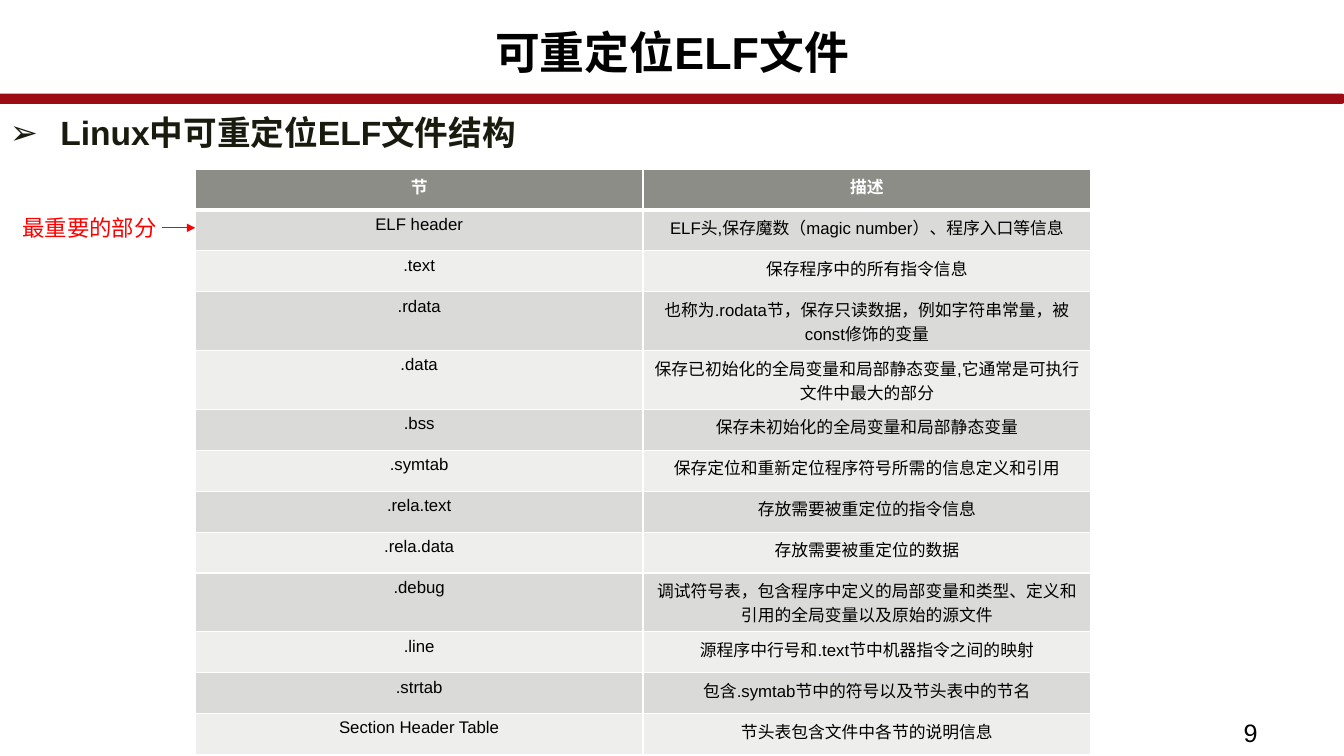
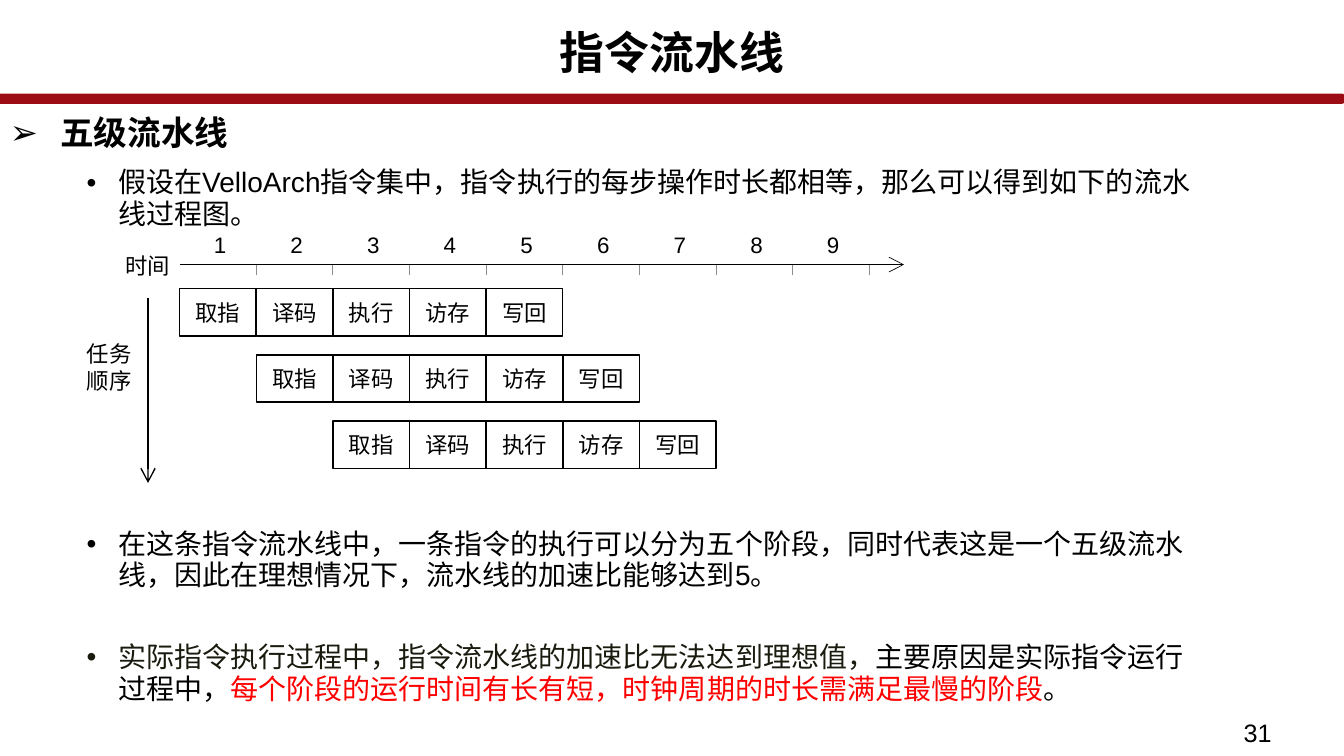
import pptx
import pptx.dml.color
import pptx.enum.shapes
import pptx.enum.text
import pptx.oxml.ns
import pptx.util
from lxml import etree

PX = 9525
WIDTH, HEIGHT = 1280, 720
FONT = "Arial"
BLACK, INK, WHITE, RED = "000000", "191B0E", "FFFFFF", "FF0000"
BAND, GRAY, ROW_DARK, ROW_LIGHT = "9C0C15", "8C8D86", "DADBD9", "EEEEED"
CENTER = pptx.enum.text.PP_ALIGN.CENTER
TOP = pptx.enum.text.MSO_ANCHOR.TOP
MIDDLE = pptx.enum.text.MSO_ANCHOR.MIDDLE
SHAPE = pptx.enum.shapes.MSO_SHAPE

LINE_CHARS = 32
SECTIONS = [
    ("节", "描述"),
    ("ELF header", "ELF头,保存魔数（magic number）、程序入口等信息"),
    (".text", "保存程序中的所有指令信息"),
    (".rdata", "也称为.rodata节，保存只读数据，例如字符串常量，被const修饰的变量"),
    (".data", "保存已初始化的全局变量和局部静态变量,它通常是可执行文件中最大的部分"),
    (".bss", "保存未初始化的全局变量和局部静态变量"),
    (".symtab", "保存定位和重新定位程序符号所需的信息定义和引用"),
    (".rela.text", "存放需要被重定位的指令信息"),
    (".rela.data", "存放需要被重定位的数据"),
    (".debug", "调试符号表，包含程序中定义的局部变量和类型、定义和引用的全局变量以及原始的源文件"),
    (".line", "源程序中行号和.text节中机器指令之间的映射"),
    (".strtab", "包含.symtab节中的符号以及节头表中的节名"),
    ("Section Header Table", "节头表包含文件中各节的说明信息"),
]
STAGES = ["取指", "译码", "执行", "访存", "写回"]
PREMISE = "假设在VelloArch指令集中，指令执行的每步操作时长都相等，那么可以得到如下的流水线过程图。"
SPEEDUP = "在这条指令流水线中，一条指令的执行可以分为五个阶段，同时代表这是一个五级流水线，因此在理想情况下，流水线的加速比能够达到5。"
REALITY = [
    ("实际指令执行过程中，指令流水线的加速比无法达到理想值，", INK, "Times New Roman"),
    ("主要原因是实际指令运行过程中，", BLACK, FONT),
    ("每个阶段的运行时间有长有短，时钟周期的时长需满足最慢的阶段", RED, FONT),
    ("。", BLACK, FONT),
]


def px(n):
    """Turn px into EMU."""
    return pptx.util.Emu(n * PX)


def rgb(color):
    """Turn a hex string into a colour."""
    return pptx.dml.color.RGBColor.from_string(color)


def add_xml(parent, tag, **attrs):
    """Append a DrawingML element to a parent."""
    return etree.SubElement(parent, pptx.oxml.ns.qn(tag), **attrs)


def style_run(r, size, color=BLACK, bold=False, font=FONT, east=True):
    """Set the font of a run, and the shared East Asian font if asked."""
    r.font.size = pptx.util.Pt(size)
    r.font.name = font
    r.font.bold = bold
    r.font.color.rgb = rgb(color)
    if east:
        add_xml(r.font._element, "a:ea", typeface=FONT)


def add_text(s, text, x, y, w, h, size, color=BLACK, bold=False, align=None, anchor=TOP):
    """Add a wrapped one-paragraph text box."""
    sp = s.shapes.add_textbox(px(x), px(y), px(w), px(h))
    tf = sp.text_frame
    tf.word_wrap = True
    tf.vertical_anchor = anchor
    p = tf.paragraphs[0]
    p.text = text
    p.alignment = align
    style_run(p.runs[0], size, color, bold)
    return sp


def add_line(s, x1, y1, x2, y2, color, width, head=None, head_size="med"):
    """Add a straight line, with an arrowhead at its end if asked."""
    kind = pptx.enum.shapes.MSO_CONNECTOR.STRAIGHT
    cx = s.shapes.add_connector(kind, px(x1), px(y1), px(x2), px(y2))
    cx.line.color.rgb = rgb(color)
    cx.line.width = pptx.util.Pt(width)
    if head:
        ln = cx.line._get_or_add_ln()
        add_xml(ln, "a:tailEnd", type=head, w=head_size, len=head_size)
    add_xml(cx._element.spPr, "a:effectLst")


def set_bullet(p, char, margin, hang):
    """Give a paragraph a hanging bullet and the body line spacing."""
    p.line_spacing = 0.94
    p.space_after = pptx.util.Pt(2)
    pPr = p._p.get_or_add_pPr()
    pPr.set("marL", str(px(margin)))
    pPr.set("indent", str(-px(hang)))
    add_xml(pPr, "a:buFont", typeface=FONT)
    add_xml(pPr, "a:buChar", char=char)


def add_bullets(s, x, y, w, h, items):
    """Add second-level bullets, each a list of (text, colour, font)."""
    sp = s.shapes.add_textbox(px(x), px(y), px(w), px(h))
    tf = sp.text_frame
    tf.word_wrap = True
    for i, parts in enumerate(items):
        p = tf.add_paragraph() if i else tf.paragraphs[0]
        if i:
            p.space_before = pptx.util.Pt(34)
        set_bullet(p, "•", 87, 30)
        for text, color, font in parts:
            r = p.add_run()
            r.text = text
            style_run(r, 20, color, font=font)


def add_base(prs, title, heading, color, number):
    """Add a slide with its title, band, heading and page number."""
    s = prs.slides.add_slide(prs.slide_layouts[6])
    sp = s.shapes.add_shape(SHAPE.ROUNDED_RECTANGLE, px(-1), px(91), px(WIDTH), px(6))
    sp.shadow.inherit = False
    sp.fill.solid()
    sp.fill.fore_color.rgb = rgb(BAND)
    sp.line.color.rgb = rgb(BAND)
    sp.line.width = pptx.util.Pt(2.75)
    sp = add_text(s, title, 0, 25, WIDTH, 72, 32, bold=True, align=CENTER)
    sp.text_frame.paragraphs[0].line_spacing = 0.89
    sp = add_text(s, heading, 0, 105, 1234, 48, 24, color, True)
    set_bullet(sp.text_frame.paragraphs[0], "➢", 48, 48)
    add_text(s, str(number), 1175, 678, 105, 42, 18)
    return s


def style_cell(cell, row):
    """Border, fill and format a table cell according to its row."""
    tcPr = cell._tc.get_or_add_tcPr()
    for side in "LRTB":
        thick = (row == 0 and side == "B") or (row == 1 and side == "T")
        ln = add_xml(tcPr, "a:ln" + side, w=str(pptx.util.Pt(3 if thick else 1)))
        add_xml(add_xml(ln, "a:solidFill"), "a:srgbClr", val=WHITE)
    cell.fill.solid()
    cell.fill.fore_color.rgb = rgb((ROW_DARK if row % 2 else ROW_LIGHT) if row else GRAY)
    p = cell.text_frame.paragraphs[0]
    p.alignment = CENTER
    style_run(p.runs[0], 12, BLACK if row else WHITE, row == 0, east=False)


def add_section_table(s, x, y, w, row_h, tall_h):
    """Add the table of ELF sections and the note on its first entry."""
    heights = [tall_h if len(text) > LINE_CHARS else row_h for _, text in SECTIONS]
    frame = s.shapes.add_table(len(SECTIONS), 2, px(x), px(y), px(w), px(sum(heights)))
    for i, texts in enumerate(SECTIONS):
        frame.table.rows[i].height = px(heights[i])
        for j, text in enumerate(texts):
            cell = frame.table.cell(i, j)
            cell.text = text
            style_cell(cell, i)
    arrow_y = y + row_h + 17
    add_text(s, "最重要的部分", x - 174, arrow_y - 18, 162, 36, 16, RED)
    add_line(s, x - 32, arrow_y, x, arrow_y, RED, 0.5, "triangle")


def add_stage(s, text, x, y, w, h):
    """Add one outlined pipeline stage."""
    sp = s.shapes.add_shape(SHAPE.RECTANGLE, px(x), px(y), px(w), px(h))
    sp.shadow.inherit = False
    sp.fill.background()
    sp.line.color.rgb = rgb(BLACK)
    sp.line.width = pptx.util.Pt(1)
    tf = sp.text_frame
    tf.word_wrap = True
    tf.vertical_anchor = MIDDLE
    p = tf.paragraphs[0]
    p.text = text
    p.alignment = CENTER
    style_run(p.runs[0], 16)


def add_pipeline(s, x, y, step, box_h):
    """Add the pipeline chart, its time axis starting at x, y."""
    label = {"size": 16, "align": CENTER, "anchor": MIDDLE}
    add_line(s, x, y, x + 690, y, BLACK, 0.5, "arrow", "lg")
    add_line(s, x - 30, y + 32, x - 30, y + 208, BLACK, 1, "arrow", "lg")
    add_text(s, "时间", x - 73, y - 22, 85, box_h, **label)
    add_text(s, "任务顺序", x - 104, y + 75, 74, box_h, **label)
    for i in range(9):
        tick = x + (i + 1) * step
        add_line(s, tick, y + 10, tick, y, GRAY, 0.5)
        add_text(s, str(i + 1), x - 4 + i * step, y - 42, 85, box_h, **label)
    for task in range(3):
        for i, stage in enumerate(STAGES):
            add_stage(s, stage, x + (task + i) * step, y + 23 + task * 63, step, box_h)


def build_elf_slide(prs):
    """Build the slide on relocatable ELF files."""
    s = add_base(prs, "可重定位ELF文件", "Linux中可重定位ELF文件结构", INK, 9)
    add_section_table(s, 186, 161, 853, 39, 56)


def build_pipeline_slide(prs):
    """Build the slide on the five-stage pipeline."""
    s = add_base(prs, "指令流水线", "五级流水线", BLACK, 31)
    add_bullets(s, 16, 155, 1138, 75, [[(PREMISE, BLACK, FONT)]])
    add_pipeline(s, 171, 252, 73, 45)
    add_bullets(s, 16, 499, 1138, 190, [[(SPEEDUP, BLACK, FONT)], REALITY])


def main():
    """Build and save the presentation."""
    prs = pptx.Presentation()
    prs.slide_width, prs.slide_height = px(WIDTH), px(HEIGHT)
    build_elf_slide(prs)
    build_pipeline_slide(prs)
    prs.save("out.pptx")


if __name__ == "__main__":
    main()
